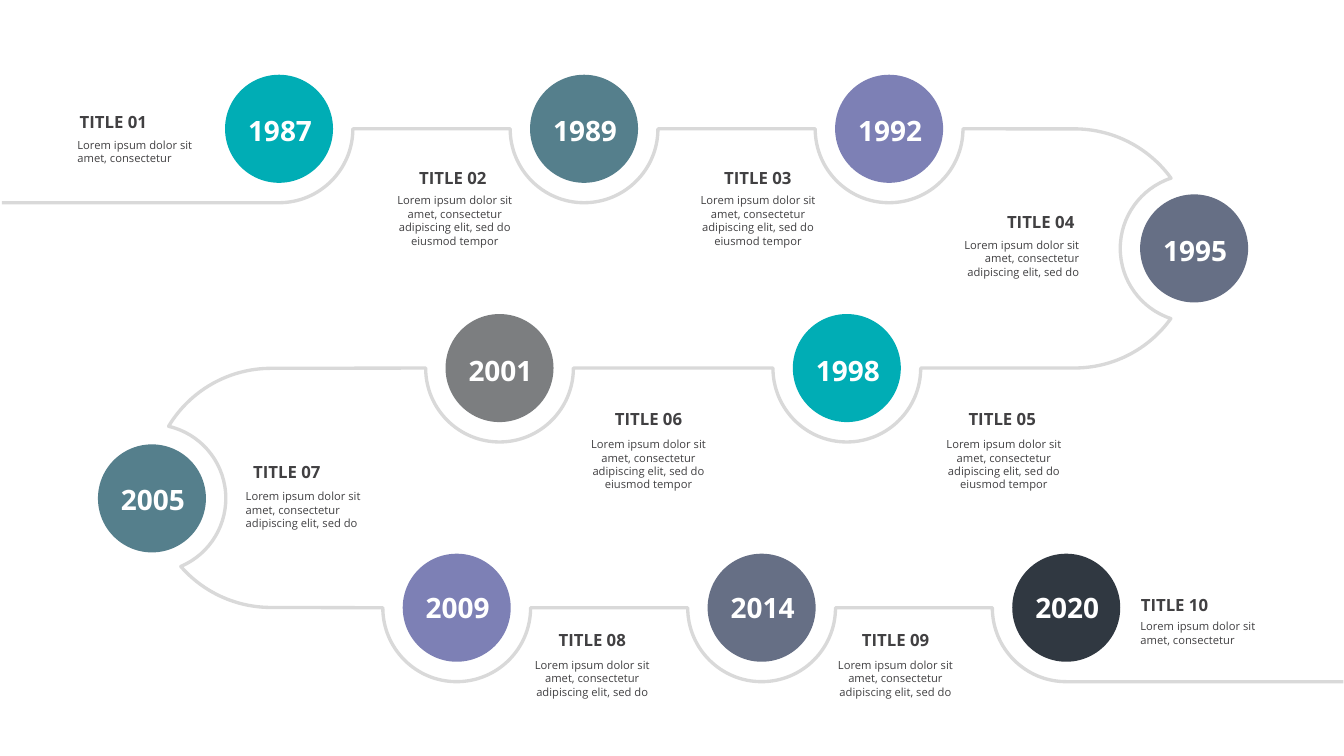
from dataclasses import dataclass
from math import ceil, cos, dist, radians, sin, tan

from lxml.etree import SubElement
from pptx import Presentation
from pptx.dml.color import RGBColor
from pptx.enum.shapes import MSO_SHAPE
from pptx.enum.text import MSO_AUTO_SIZE, PP_ALIGN
from pptx.oxml.ns import qn
from pptx.util import Pt


@dataclass(frozen=True)
class Theme:
    font: str = "Open Sans"
    year_size: int = 20
    title_size: int = 12
    body_size: int = 8
    road_width: float = 2.38
    road: str = "D9D9D9"
    text: str = "414042"
    white: str = "FFFFFF"
    teal: str = "00ADB5"
    steel: str = "557F8C"
    violet: str = "7D80B5"
    slate: str = "666F85"
    gray: str = "7C7E80"
    navy: str = "303841"


@dataclass(frozen=True)
class Milestone:
    year: str
    center: tuple
    color: str
    title_at: tuple
    body_at: tuple
    body: str
    align: PP_ALIGN = PP_ALIGN.CENTER
    year_rise: float = 10.6


THEME = Theme()
SLIDE_WIDTH, SLIDE_HEIGHT = 960.48, 540
DISC_RADIUS, RING_RADIUS, BEND_RADIUS = 38.6, 52.8, 85.4
TOP_ROW, MIDDLE_ROW, BOTTOM_ROW = 92, 262.9, 434.1
RIGHT_BEND = (767.8, (TOP_ROW + MIDDLE_ROW) / 2)
LEFT_BEND = (193.7, (MIDDLE_ROW + BOTTOM_ROW) / 2)

SHORT = "Lorem ipsum dolor sit amet, consectetur"
MEDIUM = SHORT + " adipiscing elit, sed do"
LONG = MEDIUM + " eiusmod tempor"
BODY_HEIGHTS = {SHORT: 26.6, MEDIUM: 36, LONG: 46}
LEFT, CENTER, RIGHT = PP_ALIGN.LEFT, PP_ALIGN.CENTER, PP_ALIGN.RIGHT

MILESTONES = [
    Milestone("1987", (199.4, TOP_ROW), THEME.teal, (57, 79.9), (48.2, 95), SHORT, LEFT),
    Milestone("1989", (417.4, TOP_ROW), THEME.steel, (299.6, 119.5), (272.9, 134.8), LONG),
    Milestone("1992", (635.4, TOP_ROW), THEME.violet, (517.5, 119.5), (489.6, 134.8), LONG),
    Milestone("1995", (853.4, RIGHT_BEND[1]), THEME.slate, (719.7, 151.2), (674.1, 166.5), MEDIUM, RIGHT),
    Milestone("1998", (605.2, MIDDLE_ROW), THEME.teal, (692.2, 291.9), (665.3, 309), LONG),
    Milestone("2001", (357, MIDDLE_ROW), THEME.gray, (439.4, 291.9), (411.3, 309), LONG),
    Milestone("2005", (108.6, 356), THEME.steel, (180.9, 329.8), (168.5, 346.3), MEDIUM, LEFT, 11.3),
    Milestone("2009", (326.4, BOTTOM_ROW), THEME.violet, (399.2, 450), (371.1, 466.6), MEDIUM, CENTER, 12.2),
    Milestone("2014", (544.3, BOTTOM_ROW), THEME.slate, (616, 450), (587.8, 466.6), MEDIUM, CENTER, 12.2),
    Milestone("2020", (762, BOTTOM_ROW), THEME.navy, (815.3, 424.8), (807.9, 439.2), SHORT, LEFT, 12.2),
]


def arc_curves(center, radius, start, end):
    def on_circle(angle, tangent=0):
        return (center[0] + radius * (cos(angle) - tangent * sin(angle)),
                center[1] + radius * (sin(angle) + tangent * cos(angle)))

    count = ceil(abs(end - start) / 90)
    sweep = radians(end - start) / count
    pull = 4 / 3 * tan(sweep / 4)
    angles = [radians(start) + sweep * index for index in range(count)]
    return on_circle(angles[0]), [
        (on_circle(a, pull), on_circle(a + sweep, -pull), on_circle(a + sweep)) for a in angles]


def road_arcs():
    ring_angles = {
        "1987": (90, 0), "1995": (251.6, 108.4), "1998": (0, 180),
        "2001": (0, 180), "2005": (-77, 67), "2020": (180, 90),
    }
    bends = {"1995": (RIGHT_BEND, (-90, -36), (36, 90)),
             "2005": (LEFT_BEND, (270, 211), (139, 90))}
    for milestone in MILESTONES:
        ring = (milestone.center, RING_RADIUS, *ring_angles.get(milestone.year, (180, 0)))
        if milestone.year in bends:
            center, before, after = bends[milestone.year]
            yield center, BEND_RADIUS, *before
            yield ring
            yield center, BEND_RADIUS, *after
        else:
            yield ring


def road_curves(start, end):
    curves, here = [], start
    for arc in road_arcs():
        arc_start, arc_parts = arc_curves(*arc)
        if dist(here, arc_start) > 2:
            curves.append((arc_start,) * 3)
        curves += arc_parts
        here = curves[-1][-1]
    return curves + [(end,) * 3]


def add_road(slide):
    start = (1.4, TOP_ROW + RING_RADIUS)
    end = (SLIDE_WIDTH - 0.5, BOTTOM_ROW + RING_RADIUS)
    builder = slide.shapes.build_freeform(Pt(start[0]), Pt(start[1]))
    builder.add_line_segments(
        [(Pt(x), Pt(y)) for curve in road_curves(start, end) for x, y in curve], close=False)
    road = builder.convert_to_shape()
    outline = next(road._element.iter(qn("a:path")))
    segments = outline.findall(qn("a:lnTo"))
    for first in range(0, len(segments), 3):
        curve = SubElement(outline, qn("a:cubicBezTo"))
        for segment in segments[first:first + 3]:
            curve.append(segment[0])
            outline.remove(segment)
    road.shadow.inherit = False
    road.fill.background()
    road.line.color.rgb = RGBColor.from_string(THEME.road)
    road.line.width = Pt(THEME.road_width)
    SubElement(road.line._get_or_add_ln(), qn("a:round"))


def add_text(shapes, text, box, size, color, bold=False, align=CENTER, margins=(0, 0), wrap=False):
    frame = shapes.add_textbox(*[Pt(length) for length in box]).text_frame
    frame.word_wrap = wrap
    frame.auto_size = MSO_AUTO_SIZE.SHAPE_TO_FIT_TEXT
    frame.margin_left = frame.margin_right = Pt(margins[0])
    frame.margin_top = frame.margin_bottom = Pt(margins[1])
    paragraph = frame.paragraphs[0]
    paragraph.text = text
    paragraph.alignment = align
    paragraph.font.name = THEME.font
    paragraph.font.size = Pt(size)
    paragraph.font.bold = bold
    paragraph.font.color.rgb = RGBColor.from_string(color)


def add_year(slide, milestone):
    x, y = milestone.center
    badge = slide.shapes.add_group_shape().shapes
    disc = badge.add_shape(
        MSO_SHAPE.OVAL, Pt(x - DISC_RADIUS), Pt(y - DISC_RADIUS),
        Pt(2 * DISC_RADIUS), Pt(2 * DISC_RADIUS))
    disc.shadow.inherit = False
    disc.fill.solid()
    disc.fill.fore_color.rgb = RGBColor.from_string(milestone.color)
    disc.line.fill.background()
    add_text(badge, milestone.year, (x - 22.3, y - milestone.year_rise, 46.1, 24),
             THEME.year_size, THEME.white, bold=True)


def add_title(slide, title, position):
    add_text(slide.shapes, title, (*position, 48.2, 14.4), THEME.title_size, THEME.text, bold=True)


def add_body(slide, milestone):
    add_text(slide.shapes, milestone.body,
             (*milestone.body_at, 104.4, BODY_HEIGHTS[milestone.body]),
             THEME.body_size, THEME.text, align=milestone.align, margins=(7.2, 3.6), wrap=True)


def main():
    deck = Presentation()
    deck.slide_width, deck.slide_height = Pt(SLIDE_WIDTH), Pt(SLIDE_HEIGHT)
    slide = deck.slides.add_slide(deck.slide_layouts[6])
    add_road(slide)
    for milestone in MILESTONES:
        add_year(slide, milestone)
    for number, milestone in enumerate(MILESTONES, start=1):
        add_title(slide, f"TITLE {number:02d}", milestone.title_at)
    for milestone in MILESTONES:
        add_body(slide, milestone)
    deck.save("out.pptx")


if __name__ == "__main__":
    main()
